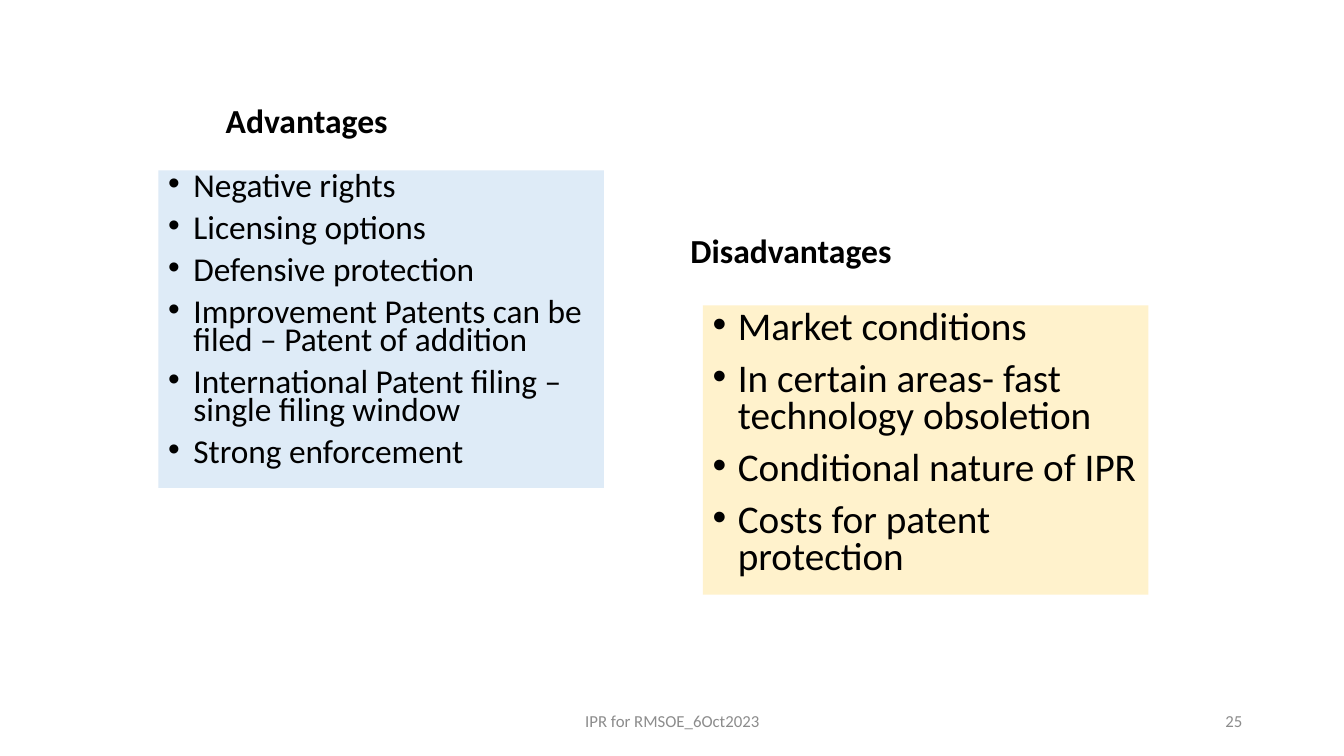
from lxml.etree import SubElement
from pptx import Presentation
from pptx.dml.color import RGBColor
from pptx.enum.shapes import MSO_SHAPE
from pptx.enum.text import MSO_ANCHOR, PP_ALIGN
from pptx.oxml.ns import qn
from pptx.util import Pt

PX = 9144  # 100 px to the inch
SLIDE_WIDTH, SLIDE_HEIGHT = 1333, 750
BULLET_INDENT = 25
FONT = "Calibri"
BLACK, GREY = "000000", "8C8C8C"


def color(hex_string):
    return RGBColor.from_string(hex_string)


def scaled(box):
    return [length * PX for length in box]


def add_bullet(paragraph):
    properties = paragraph._p.get_or_add_pPr()
    properties.set("marL", str(BULLET_INDENT * PX))
    properties.set("indent", str(-BULLET_INDENT * PX))
    SubElement(properties, qn("a:buFont"), typeface="Arial")
    SubElement(properties, qn("a:buChar"), char="•")


def add_text(slide, box, lines, size, fill=None, text_color=BLACK, bold=False,
             align=PP_ALIGN.LEFT, anchor=MSO_ANCHOR.TOP, line_spacing=1.0,
             space_before=0, bullets=False):
    """Add lines of text, on a filled rectangle if a fill is given."""
    if fill:
        shape = slide.shapes.add_shape(MSO_SHAPE.RECTANGLE, *scaled(box))
        shape.shadow.inherit = False
        shape.fill.solid()
        shape.fill.fore_color.rgb = color(fill)
        shape.line.fill.background()
    else:
        shape = slide.shapes.add_textbox(*scaled(box))
    frame = shape.text_frame
    frame.word_wrap = True
    frame.vertical_anchor = anchor
    for index, line in enumerate(lines):
        paragraph = frame.add_paragraph() if index else frame.paragraphs[0]
        paragraph.alignment = align
        paragraph.line_spacing = line_spacing
        paragraph.space_before = Pt(space_before if index else 0)
        if bullets:
            add_bullet(paragraph)
        run = paragraph.add_run()
        run.text = line
        run.font.name = FONT
        run.font.size = Pt(size)
        run.font.bold = bold
        run.font.color.rgb = color(text_color)


def add_column(slide, box, heading, points, fill, size, line_spacing,
               heading_shift, heading_gap):
    """Fill the box with bulleted points and set the heading above it."""
    left, top, width, _ = box
    heading_height = 70
    heading_box = (left + heading_shift, top - heading_gap - heading_height,
                   width, heading_height)
    add_text(slide, heading_box, [heading], 24, bold=True,
             anchor=MSO_ANCHOR.BOTTOM, line_spacing=0.9)
    add_text(slide, box, points, size, fill=fill, line_spacing=line_spacing,
             space_before=10, bullets=True)


def add_footer(slide, box, label, number):
    left, top, width, height = box
    label_width, number_width = 450, 300
    label_box = (left + (width - label_width) // 2, top, label_width, height)
    number_box = (left + width - number_width, top, number_width, height)
    for text, text_box, align in ((label, label_box, PP_ALIGN.CENTER),
                                  (number, number_box, PP_ALIGN.RIGHT)):
        add_text(slide, text_box, [text], 12, text_color=GREY, align=align,
                 anchor=MSO_ANCHOR.MIDDLE)


def main():
    presentation = Presentation()
    presentation.slide_width = SLIDE_WIDTH * PX
    presentation.slide_height = SLIDE_HEIGHT * PX
    slide = presentation.slides.add_slide(presentation.slide_layouts[6])

    add_column(slide, (157, 169, 442, 315), "Advantages", [
        "Negative rights",
        "Licensing options",
        "Defensive protection",
        "Improvement Patents can be filed – Patent of addition",
        "International Patent filing – single filing window",
        "Strong enforcement",
    ], fill="DEEBF7", size=23.8, line_spacing=0.7,
        heading_shift=57, heading_gap=24)
    add_column(slide, (697, 303, 442, 287), "Disadvantages", [
        "Market conditions",
        "In certain areas- fast technology obsoletion",
        "Conditional nature of IPR",
        "Costs for patent protection",
    ], fill="FFF2CC", size=28, line_spacing=0.8,
        heading_shift=-22, heading_gap=29)
    add_footer(slide, (92, 695, 1150, 40), "IPR for RMSOE_6Oct2023", "25")

    presentation.save("out.pptx")


if __name__ == "__main__":
    main()
